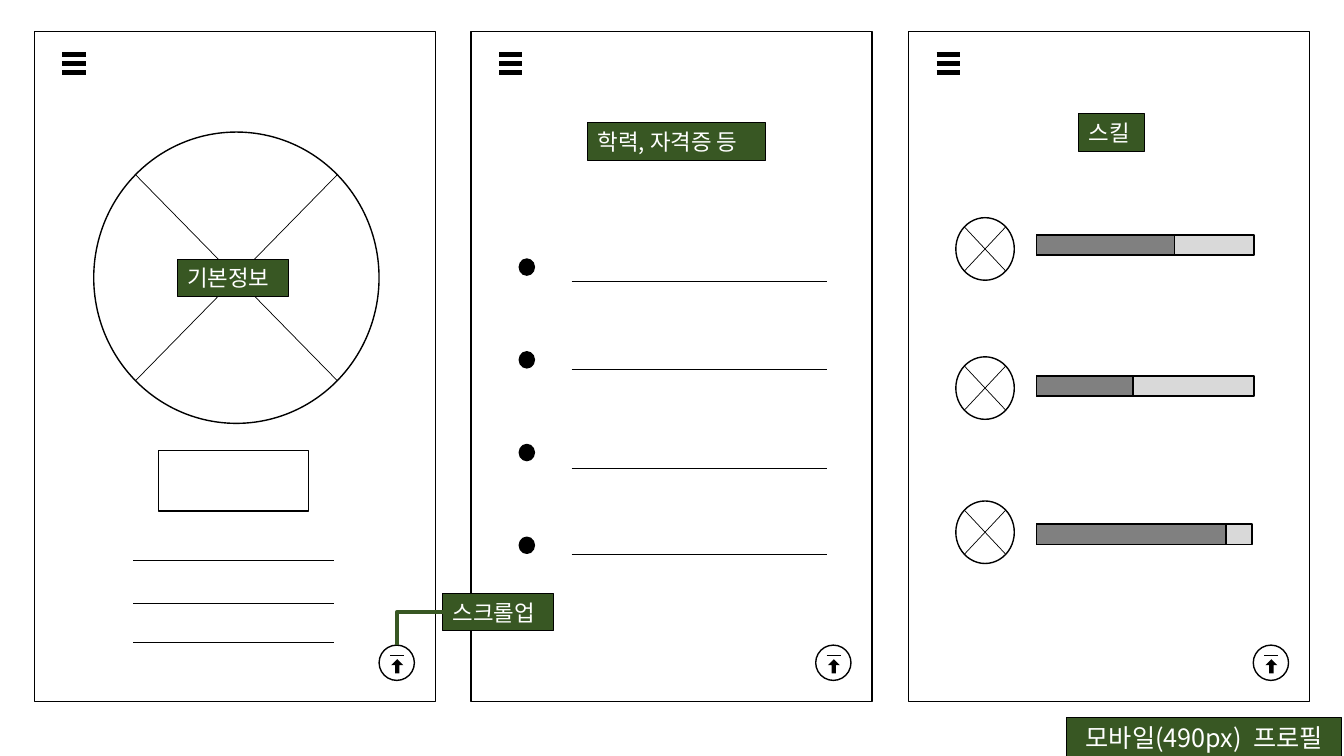
from math import sqrt

from lxml import etree
from pptx import Presentation
from pptx.dml.color import RGBColor
from pptx.enum.shapes import MSO_CONNECTOR, MSO_SHAPE
from pptx.enum.text import MSO_ANCHOR, MSO_AUTO_SIZE, PP_ALIGN
from pptx.oxml.ns import qn
from pptx.util import Inches, Pt

RECTANGLE = MSO_SHAPE.RECTANGLE
OVAL = MSO_SHAPE.OVAL
UP_ARROW = MSO_SHAPE.UP_ARROW
STRAIGHT = MSO_CONNECTOR.STRAIGHT
ELBOW = MSO_CONNECTOR.ELBOW
LEFT = PP_ALIGN.LEFT
CENTER = PP_ALIGN.CENTER
TOP_SIDE, LEFT_SIDE = 0, 1

FONT = "Noto Sans CJK KR"
COLORS = {
    "ink": "000000",
    "paper": "FFFFFF",
    "label": "385723",
    "track": "D9D9D9",
    "level": "808080",
}
PANEL_LEFTS = (0.34, 4.67, 9.01)
PANEL_TOP, PANEL_WIDTH, PANEL_HEIGHT = 0.31, 3.98, 6.65


def color(name):
    """Return the named colour."""
    return RGBColor.from_string(COLORS[name])


def add_box(page, kind, left, top, width, height, fill=None, weight=1):
    """Add an outlined shape, filled when a colour name is given."""
    box = page.shapes.add_shape(
        kind, Inches(left), Inches(top), Inches(width), Inches(height))
    box.shadow.inherit = False
    if fill:
        box.fill.solid()
        box.fill.fore_color.rgb = color(fill)
    else:
        box.fill.background()
    if weight:
        box.line.color.rgb = color("ink")
        box.line.width = Pt(weight)
    else:
        box.line.fill.background()
    return box


def add_line(page, start, end, weight=0.5, name="ink", kind=STRAIGHT):
    """Add a connector between two points."""
    line = page.shapes.add_connector(
        kind, *(Inches(value) for value in (*start, *end)))
    line.line.color.rgb = color(name)
    line.line.width = Pt(weight)
    etree.SubElement(line._element.spPr, qn("a:effectLst"))
    return line


def add_rule(page, left, top, width, weight=0.5):
    """Add a horizontal line."""
    return add_line(page, (left, top), (left + width, top), weight)


def add_label(page, text, left, top, width, height=0.37, size=16, align=LEFT):
    """Add a green label with white text."""
    box = add_box(page, RECTANGLE, left, top, width, height, "label", 0.75)
    frame = box.text_frame
    frame.word_wrap = False
    frame.auto_size = MSO_AUTO_SIZE.SHAPE_TO_FIT_TEXT
    frame.vertical_anchor = MSO_ANCHOR.TOP
    para = frame.paragraphs[0]
    para.alignment = align
    span = para.add_run()
    span.text = text
    span.font.size = Pt(size)
    span.font.name = FONT
    span.font.color.rgb = color("paper")
    east_asian = etree.SubElement(span.font._element, qn("a:ea"))
    east_asian.set("typeface", FONT)
    return box


def add_crossed_circle(page, left, top, width, height):
    """Add an image placeholder: an oval with two diagonals."""
    add_box(page, OVAL, left, top, width, height, "paper")
    inset = (1 - 1 / sqrt(2)) / 2
    near, far = left + width * inset, left + width * (1 - inset)
    upper, lower = top + height * inset, top + height * (1 - inset)
    add_line(page, (far, upper), (near, lower))
    add_line(page, (near, upper), (far, lower))


def add_panel(page, left, top):
    """Add a phone screen with its menu and return its scroll-up button."""
    add_box(page, RECTANGLE, left, top, PANEL_WIDTH, PANEL_HEIGHT)
    for row in range(3):
        add_rule(page, left + 0.28, top + 0.23 + 0.09 * row, 0.23, 3)
    button = add_box(page, OVAL, left + 3.42, top + 6.09, 0.35, 0.35)
    arrow = add_box(
        page, UP_ARROW, left + 3.54, top + 6.23, 0.12, 0.14, "ink", 0)
    arrow.adjustments[0] = 0.36
    arrow.adjustments[1] = 0.5
    add_rule(page, left + 3.53, top + 6.19, 0.14, 1)
    return button


def add_basics(page, left, top):
    """Fill the basic information screen."""
    add_crossed_circle(page, left + 0.59, top + 1, 2.83, 2.89)
    add_box(page, RECTANGLE, left + 1.23, top + 4.16, 1.49, 0.6)
    for offset in (5.25, 5.68, 6.06):
        add_rule(page, left + 0.98, top + offset, 1.99)
    add_label(page, "기본정보", left + 1.42, top + 2.26, 1.1)


def add_education(page, left, top):
    """Fill the education and certificates screen."""
    for row, offset in enumerate((2.48, 3.35, 4.34, 5.19)):
        add_box(page, OVAL, left + 0.48, top + 2.26 + 0.92 * row,
                0.15, 0.16, "ink")
        add_rule(page, left + 1, top + offset, 2.53)
    add_label(page, "학력, 자격증 등", left + 1.16, top + 0.91, 1.76)


def add_skills(page, left, top):
    """Fill the skills screen with icons and level bars."""
    skills = (
        (1.85, 2.02, 2.16, 1.37),
        (3.23, 3.42, 2.16, 0.96),
        (4.66, 4.89, 2.14, 1.88),
    )
    for icon_top, bar_top, track, level in skills:
        add_crossed_circle(page, left + 0.47, top + icon_top, 0.58, 0.62)
        for width, name in ((track, "track"), (level, "level")):
            add_box(page, RECTANGLE, left + 1.27, top + bar_top,
                    width, 0.2, name)
    add_label(page, "스킬", left + 1.69, top + 0.82, 0.65)


def add_scroll_note(page, button, left, top):
    """Label the scroll-up button and join the two with an elbow."""
    label = add_label(page, "스크롤업", left, top, 1.1)
    elbow = add_line(page, (left, top + 0.19), (left - 0.45, top + 0.51),
                     3, "label", ELBOW)
    elbow._element.spPr.find(qn("a:prstGeom")).set("prst", "bentConnector2")
    elbow.begin_connect(label, LEFT_SIDE)
    elbow.end_connect(button, TOP_SIDE)


def main():
    """Build the profile wireframe slide."""
    deck = Presentation()
    deck.slide_width, deck.slide_height = Inches(13.33), Inches(7.5)
    page = deck.slides.add_slide(deck.slide_layouts[6])
    buttons = [add_panel(page, left, PANEL_TOP) for left in PANEL_LEFTS]
    fillers = (add_basics, add_education, add_skills)
    for fill_panel, left in zip(fillers, PANEL_LEFTS):
        fill_panel(page, left, PANEL_TOP)
    add_scroll_note(page, buttons[0], 4.39, 5.89)
    add_label(page, "모바일(490px)  프로필", 10.58, 7.12, 2.73, 0.4, 18, CENTER)
    deck.save("out.pptx")


if __name__ == "__main__":
    main()
